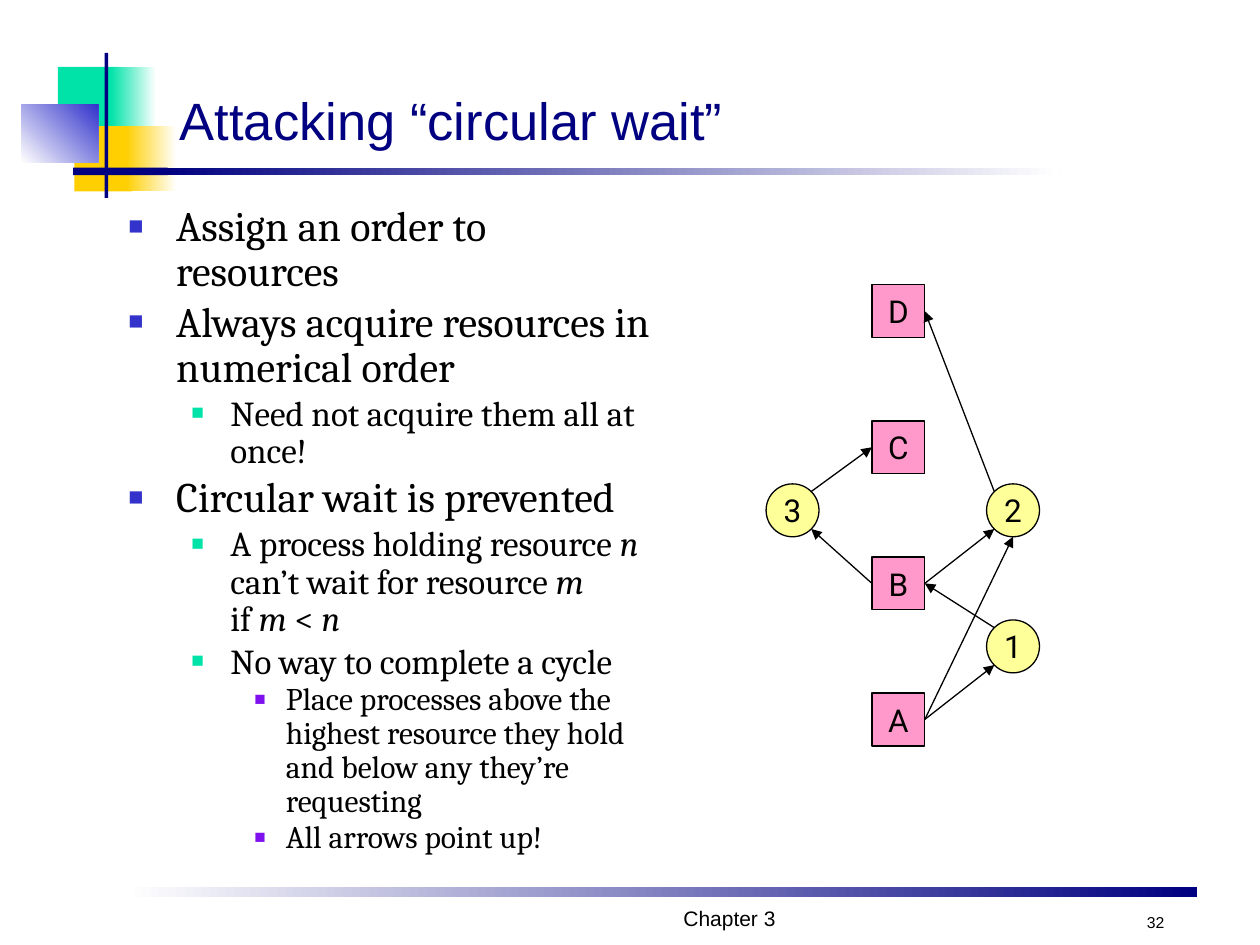
import math
from dataclasses import dataclass

import pptx
import pptx.dml.color
import pptx.enum.shapes
import pptx.enum.text
import pptx.oxml.ns
import pptx.util
from lxml import etree

Inches = pptx.util.Inches
Pt = pptx.util.Pt
SHAPE = pptx.enum.shapes.MSO_SHAPE
ALIGN = pptx.enum.text.PP_ALIGN
ANCHOR = pptx.enum.text.MSO_ANCHOR


@dataclass(frozen=True)
class Theme:
    """Colours, fonts and type sizes."""
    navy: str = "000080"
    blue: str = "3333CC"
    green: str = "00E3A8"
    gold: str = "FFCF01"
    violet: str = "7F11EE"
    pink: str = "FF99CC"
    yellow: str = "FFFF99"
    white: str = "FFFFFF"
    black: str = "000000"
    sans: str = "Arial"
    serif: str = "Cambria"
    label: str = "Roboto"
    title: int = 30
    node: int = 18
    foot: int = 12
    page: int = 9


THEME = Theme()
SIDE = 0.42
STEP = 1.08

BARS = [
    (1, 7.04, 8.5, 0.08, THEME.white, THEME.navy, 0),
    (0.46, 0.53, 0.48, 0.52, THEME.green, None, 0),
    (0.88, 0.53, 0.36, 0.52, THEME.green, THEME.white, 0),
    (0.59, 1, 0.46, 0.52, THEME.gold, None, 0),
    (1, 1, 0.4, 0.52, THEME.gold, THEME.white, 0),
    (0.17, 0.83, 0.61, 0.46, THEME.white, THEME.blue, 45),
    (0.83, 0.42, 0.03, 1.15, THEME.navy, None, 0),
    (0.58, 1.33, 0.75, 0.06, THEME.navy, None, 0),
    (1.25, 1.33, 7.16, 0.06, THEME.navy, THEME.white, 0),
]

# Level: indent, hanging, size, space share, bullet colour
LEVELS = [
    (0.38, 0.38, 24, 0.12, THEME.blue),
    (0.81, 0.31, 20, 0.12, THEME.green),
    (1.25, 0.25, 18, 0.06, THEME.violet),
]

POINTS = [
    (0, "Assign an order to resources"),
    (0, "Always acquire resources in numerical order"),
    (1, "Need not acquire them all at once!"),
    (0, "Circular wait is prevented"),
    (1, "A process holding resource *n* can’t wait for resource *m*\nif *m* < *n*"),
    (1, "No way to complete a cycle"),
    (2, "Place processes above the highest resource they hold "
        "and below any they’re requesting"),
    (2, "All arrows point up!"),
]

LINKS = [
    ("A", (1, 0), "1", (-1, 1)),
    ("1", (-1, -1), "B", (1, 0)),
    ("A", (1, 0), "2", (0, 1)),
    ("B", (1, 0), "2", (-1, 1)),
    ("2", (-1, -1), "D", (1, 0)),
    ("3", (1, -1), "C", (-1, 0)),
    ("B", (-1, 0), "3", (1, 1)),
]


def rgb(code):
    """Return the colour for a hex code."""
    return pptx.dml.color.RGBColor.from_string(code)


def add_sub(parent, tag, **attrs):
    """Append a DrawingML child element."""
    return etree.SubElement(parent, pptx.oxml.ns.qn(tag), attrs)


def style(run, font, size, color=THEME.black):
    """Set the font of a run."""
    run.font.name = font
    run.font.size = Pt(size)
    run.font.color.rgb = rgb(color)


def add_bar(slide, left, top, width, height, first, last, angle):
    """Add a borderless bar, plain or fading to a second colour."""
    bar = slide.shapes.add_shape(
        SHAPE.RECTANGLE, Inches(left), Inches(top), Inches(width), Inches(height))
    bar.shadow.inherit = False
    bar.line.fill.background()
    if last is None:
        bar.fill.solid()
        bar.fill.fore_color.rgb = rgb(first)
        return
    bar.fill.gradient()
    bar.fill.gradient_angle = angle
    for stop, code in zip(bar.fill.gradient_stops, (first, last)):
        stop.color.rgb = rgb(code)


def add_frame(slide, left, top, width, height, anchor):
    """Add a wrapping text box and return its frame."""
    box = slide.shapes.add_textbox(
        Inches(left), Inches(top), Inches(width), Inches(height))
    frame = box.text_frame
    frame.word_wrap = True
    frame.vertical_anchor = anchor
    return frame


def add_line(slide, text, place, size, color=THEME.black, align=ALIGN.LEFT):
    """Add one line of text resting on the bottom of its box."""
    frame = add_frame(slide, *place, ANCHOR.BOTTOM)
    frame.text = text
    para = frame.paragraphs[0]
    para.alignment = align
    style(para.runs[0], THEME.sans, size, color)


def fill_point(para, level, text):
    """Write a bulleted point, with starred parts in italics."""
    indent, hang, size, share, color = LEVELS[level]
    para.level = level
    para.line_spacing = 0.9
    para.space_before = Pt(round(size * share, 1))
    props = para._p.get_or_add_pPr()
    props.set("marL", str(Inches(indent)))
    props.set("indent", str(-Inches(hang)))
    add_sub(add_sub(props, "a:buClr"), "a:srgbClr", val=color)
    add_sub(props, "a:buSzPct", val="60000")
    add_sub(props, "a:buFont", typeface=THEME.sans)
    add_sub(props, "a:buChar", char="■")
    for part, piece in enumerate(text.split("*")):
        for row, words in enumerate(piece.split("\n")):
            if row:
                para.add_line_break()
            if words:
                run = para.add_run()
                run.text = words
                style(run, THEME.serif, size)
                run.font.italic = part % 2 == 1


def add_points(slide):
    """Add the bulleted body text."""
    frame = add_frame(slide, 0.92, 1.58, 4.35, 5.42, ANCHOR.TOP)
    for index, (level, text) in enumerate(POINTS):
        para = frame.add_paragraph() if index else frame.paragraphs[0]
        fill_point(para, level, text)


def add_node(slide, name, kind, left, top, color):
    """Add a labelled graph node."""
    node = slide.shapes.add_shape(
        kind, Inches(left), Inches(top), Inches(SIDE), Inches(SIDE))
    node.shadow.inherit = False
    node.fill.solid()
    node.fill.fore_color.rgb = rgb(color)
    node.line.color.rgb = rgb(THEME.black)
    node.line.width = Pt(0.75)
    frame = node.text_frame
    frame.word_wrap = False
    frame.vertical_anchor = ANCHOR.MIDDLE
    frame.text = name
    para = frame.paragraphs[0]
    para.alignment = ALIGN.CENTER
    style(para.runs[0], THEME.label, THEME.node)
    return node


def port(node, way):
    """Return the point on the edge of a node in a given direction."""
    reach = node.width / 2 / math.hypot(*way)
    return (round(node.left + node.width / 2 + reach * way[0]),
            round(node.top + node.height / 2 + reach * way[1]))


def add_arrow(slide, start, end):
    """Add a thin arrow between two points."""
    arrow = slide.shapes.add_connector(
        pptx.enum.shapes.MSO_CONNECTOR.STRAIGHT, *start, *end)
    arrow.line.color.rgb = rgb(THEME.black)
    arrow.line.width = Pt(0.75)
    add_sub(arrow.line._get_or_add_ln(), "a:tailEnd", type="triangle")
    add_sub(arrow._element.spPr, "a:effectLst")


def add_graph(slide):
    """Add resources, processes and the arrows between them."""
    nodes = {}
    for row, name in enumerate("ABCD"):
        nodes[name] = add_node(
            slide, name, SHAPE.RECTANGLE, 6.92, 5.5 - row * STEP, THEME.pink)
    for name, left, row in (("1", 7.83, 0), ("2", 7.83, 1), ("3", 6.08, 1)):
        nodes[name] = add_node(
            slide, name, SHAPE.OVAL, left, 4.92 - row * STEP, THEME.yellow)
    for tail, out, head, into in LINKS:
        add_arrow(slide, port(nodes[tail], out), port(nodes[head], into))


def main():
    """Build the slide and save it."""
    deck = pptx.Presentation()
    deck.slide_width, deck.slide_height = Inches(10), Inches(7.5)
    slide = deck.slides.add_slide(deck.slide_layouts[6])
    for bar in BARS:
        add_bar(slide, *bar)
    add_line(slide, "Chapter 3", (2.83, 7.17, 5.92, 0.27), THEME.foot,
             align=ALIGN.CENTER)
    add_line(slide, "32", (8.92, 7.17, 0.42, 0.27), THEME.page, align=ALIGN.RIGHT)
    add_line(slide, "Attacking “circular wait”", (1.33, 0.58, 8.5, 0.67),
             THEME.title, THEME.navy)
    add_points(slide)
    add_graph(slide)
    deck.save("out.pptx")


if __name__ == "__main__":
    main()
